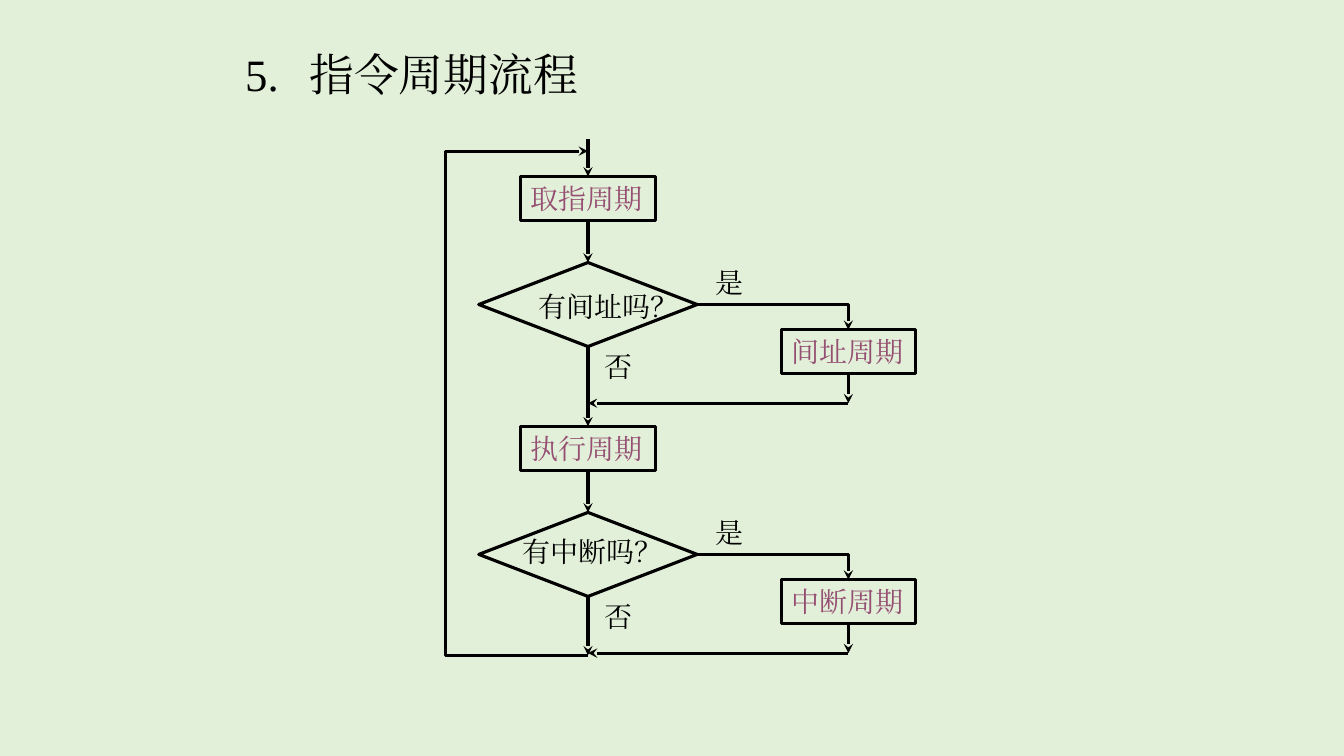
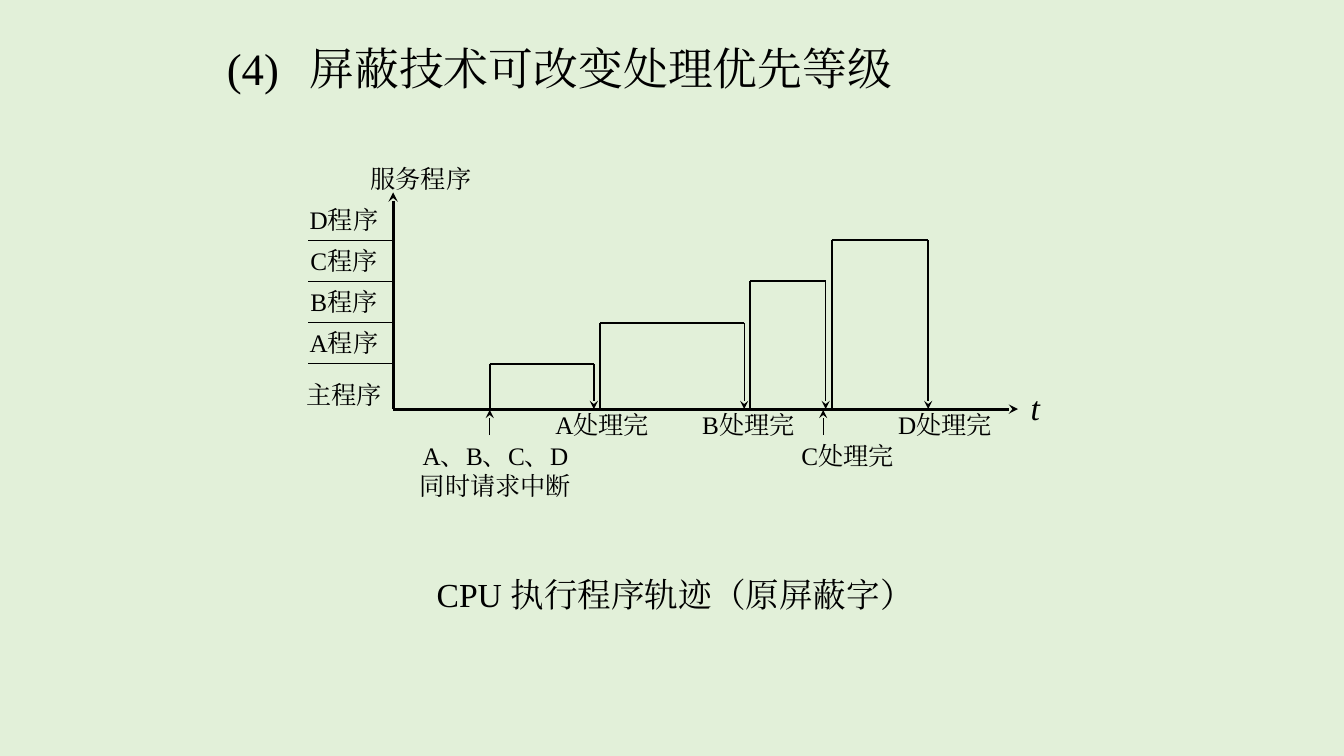
import lxml.etree
import pptx
import pptx.dml.color
import pptx.enum.lang
import pptx.enum.shapes
import pptx.enum.text
import pptx.oxml.ns
import pptx.util

# Grid: 160 columns by 90 rows of square cells
SLIDE_WIDTH, SLIDE_HEIGHT = 12192000, 6858000
CELL = SLIDE_WIDTH / 160

BACKGROUND = pptx.dml.color.RGBColor(0xE2, 0xF0, 0xD9)
BLACK = pptx.dml.color.RGBColor(0x00, 0x00, 0x00)
PLUM = pptx.dml.color.RGBColor(0x95, 0x4F, 0x72)
FONT = "Times New Roman"
TITLE_WORDS_LEFT = 36.85

SHAPE = pptx.enum.shapes.MSO_SHAPE
ALIGN = pptx.enum.text.PP_ALIGN
ANCHOR = pptx.enum.text.MSO_ANCHOR
TOP, BOTTOM = 0, 2  # connection sites

# Flowchart columns and the height of one stage
MAIN, SIDE, LOOP = 70, 101, 53
STAGE = 29.75


def cells(*counts):
    return [pptx.util.Emu(round(count * CELL)) for count in counts]


def add_child(parent, tag, **attributes):
    return lxml.etree.SubElement(parent, pptx.oxml.ns.qn(tag), **attributes)


def write(shape, text, size=20, color=BLACK, align=ALIGN.LEFT, anchor=ANCHOR.TOP,
          pad=1, wrap=False, italic=False, tab=None):
    """Fill a shape with text, one paragraph per line."""
    frame = shape.text_frame
    frame.word_wrap = wrap
    frame.vertical_anchor = anchor
    frame.margin_left, frame.margin_top = cells(1.2 * pad, 0.6 * pad)
    frame.margin_right, frame.margin_bottom = frame.margin_left, frame.margin_top
    frame.text = text
    for paragraph in frame.paragraphs:
        paragraph.alignment = align
        if tab:
            stops = add_child(paragraph._p.get_or_add_pPr(), "a:tabLst")
            add_child(stops, "a:tab", pos=str(cells(tab)[0]), algn="l")
        for run in paragraph.runs:
            font = run.font
            font.name, font.size, font.italic = FONT, pptx.util.Pt(size), italic
            font.color.rgb = color
            font.language_id = pptx.enum.lang.MSO_LANGUAGE_ID.SIMPLIFIED_CHINESE
            add_child(run._r.get_or_add_rPr(), "a:ea", typeface=FONT)


def add_text(slide, box, text, **style):
    write(slide.shapes.add_textbox(*cells(*box)), text, **style)


def add_label(slide, box, text, **style):
    add_text(slide, box, text, **{"size": 18, "align": ALIGN.CENTER, "pad": 0,
                                  "wrap": True, **style})


def add_title(slide, number, words, box, pad):
    add_text(slide, box, f"{number}\t{words}", size=32, anchor=ANCHOR.MIDDLE, pad=pad,
             wrap=True, tab=TITLE_WORDS_LEFT - box[0] - 1.2 * pad)


def set_line(shape, weight=2.25, arrow=False):
    shape.line.color.rgb = BLACK
    shape.line.width = pptx.util.Pt(weight)
    if arrow:
        add_child(shape.line._get_or_add_ln(), "a:tailEnd", type="stealth")


def add_outline(slide, kind, centre, top, width, height):
    shape = slide.shapes.add_shape(kind, *cells(centre - width / 2, top, width, height))
    shape.fill.background()
    shape.shadow.inherit = False
    set_line(shape)
    return shape


def add_line(slide, start, end, weight=2.25, arrow=False, source=None, target=None):
    connector = slide.shapes.add_connector(
        pptx.enum.shapes.MSO_CONNECTOR.STRAIGHT, *cells(*start, *end))
    if source:
        connector.begin_connect(source, BOTTOM)
    if target:
        connector.end_connect(target, TOP)
    set_line(connector, weight, arrow)
    add_child(connector._element.spPr, "a:effectLst")


def add_bent_arrow(slide, *points):
    start, *rest = [cells(*point) for point in points]
    builder = slide.shapes.build_freeform(*start)
    builder.add_line_segments(rest, close=False)
    shape = builder.convert_to_shape()
    shape.fill.background()
    shape.shadow.inherit = False
    set_line(shape, arrow=True)


def add_process(slide, centre, top, text):
    shape = add_outline(slide, SHAPE.RECTANGLE, centre, top, 16, 5.25)
    write(shape, text, color=PLUM, anchor=ANCHOR.MIDDLE)
    return shape


def add_stage(slide, top, process, question, question_at, side_process):
    """Draw a step, the decision below it and the detour; return step and decision."""
    step = add_process(slide, MAIN, top, process)
    decision = add_outline(slide, SHAPE.DIAMOND, MAIN, top + 10.25, 26, 10)
    add_text(slide, (*question_at, 19.2, 5.15), question)
    add_line(slide, (MAIN, top + 5.25), (MAIN, top + 10.25), arrow=True,
             source=step, target=decision)

    # Detour to the right and back
    branch, side_top, merge = top + 15.25, top + 18.25, top + 27
    detour = add_process(slide, SIDE, side_top, side_process)
    add_bent_arrow(slide, (MAIN + 13, branch), (SIDE, branch), (SIDE, side_top))
    add_line(slide, (SIDE, side_top + 5.25), (SIDE, merge), arrow=True, source=detour)
    add_line(slide, (SIDE, merge), (MAIN, merge), arrow=True)

    add_text(slide, (84, top + 10, 5.75, 5.25), "是")
    add_text(slide, (70.75, top + 20, 5.75, 5.25), "否")
    return step, decision


def build_flowchart(slide):
    add_title(slide, "5.", "指令周期流程", (28, 5, 75, 7.6), pad=1)
    first, second = 21, 21 + STAGE
    fetch, indirect = add_stage(slide, first, "取指周期", "有间址吗？",
                                (62.9, 33.85), "间址周期")
    execute, interrupt = add_stage(slide, second, "执行周期", "有中断吗？",
                                   (61, 63), "中断周期")

    # Entry, link between the stages, and return to the start
    finish = second + 27.25
    add_line(slide, (MAIN, 16.5), (MAIN, first), arrow=True, target=fetch)
    add_line(slide, (MAIN, first + 20.25), (MAIN, second), arrow=True,
             source=indirect, target=execute)
    add_line(slide, (MAIN, second + 20.25), (MAIN, finish), arrow=True, source=interrupt)
    add_bent_arrow(slide, (MAIN, finish), (LOOP, finish), (LOOP, 18), (MAIN, 18))


def build_timeline(slide):
    add_title(slide, "(4)", "屏蔽技术可改变处理优先等级", (27, 5.3, 87, 5.6), pad=0)

    # Axes
    axis, base = 46.8, 48.7
    add_line(slide, (axis, base), (121.2, base), arrow=True)
    add_line(slide, (axis, base), (axis, 22.9), arrow=True)
    add_label(slide, (41.9, 19.4, 16.4, 4.6), "服务程序")
    add_label(slide, (120.2, 46, 6.1, 4.4), "t", size=24, italic=True)
    add_label(slide, (35.6, 45.1, 10.7, 4.4), "主程序")

    # Each program: left, right, weight of the falling edge, end label centre and top
    programs = {
        "A": (58.3, 70.7, 1.5, 71.7, base),
        "B": (71.4, 88.6, 1, 89.1, base),
        "C": (89.3, 98.3, 1, 100.9, 52.4),
        "D": (99, 110.5, 1.5, 112.5, base),
    }
    for index, (name, program) in enumerate(programs.items()):
        left, right, fall_weight, label_centre, label_top = program
        level = 43.3 - 4.9 * index
        add_line(slide, (36.7, level), (axis, level), weight=0.75)
        add_label(slide, (35.6, level - 4.3, 10.7, 4.4), f"{name}程序")
        add_line(slide, (left, base), (left, level), weight=1.5)
        add_line(slide, (left, level), (right, level), weight=1.5)
        add_line(slide, (right, level), (right, base), weight=fall_weight, arrow=True)
        add_label(slide, (label_centre - 7.2, label_top, 14.4, 4.3), f"{name}处理完")

    # Pointers below the time axis
    for moment in (58.3, 98):
        add_line(slide, (moment, 51.8), (moment, 48.8), weight=0.75, arrow=True)
    add_label(slide, (49.9, 52.4, 18.2, 6.8), "A、B、C、D\n同时请求中断")

    add_text(slide, (50.8, 67.7, 68, 6), "CPU 执行程序轨迹（原屏蔽字）", size=24, wrap=True)


def main():
    presentation = pptx.Presentation()
    presentation.slide_width, presentation.slide_height = SLIDE_WIDTH, SLIDE_HEIGHT
    fill = presentation.slide_master.background.fill
    fill.solid()
    fill.fore_color.rgb = BACKGROUND
    blank = presentation.slide_layouts[6]
    for build in (build_flowchart, build_timeline):
        build(presentation.slides.add_slide(blank))
    presentation.save("out.pptx")


if __name__ == "__main__":
    main()
